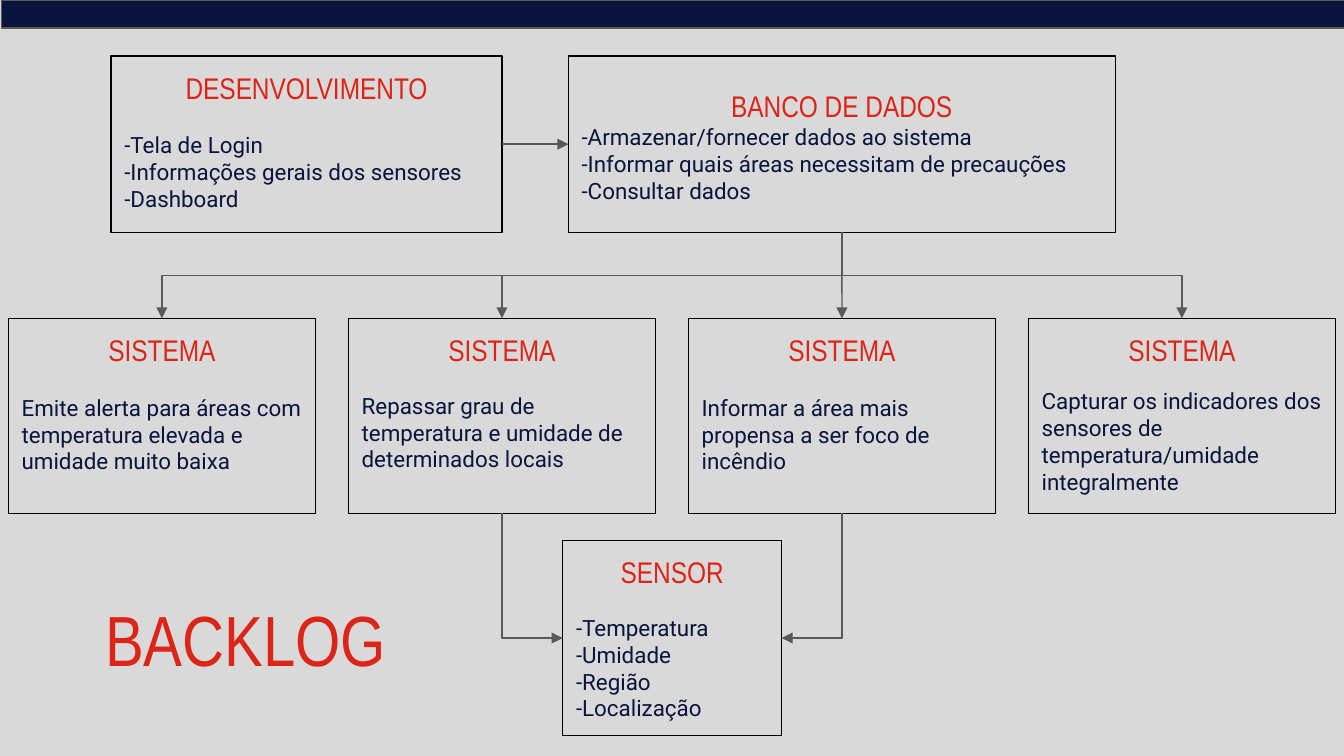
from lxml.etree import SubElement
from pptx import Presentation
from pptx.dml.color import RGBColor
from pptx.enum.shapes import MSO_CONNECTOR as CONN, MSO_SHAPE as SHAPE
from pptx.enum.text import MSO_ANCHOR as ANCHOR, MSO_AUTO_SIZE as AUTO, PP_ALIGN as ALIGN
from pptx.oxml.ns import qn
from pptx.util import Pt

NAVY, RED, GREY, PALE, BLACK = "0A153D", "DC2417", "595959", "D9D9D9", "000000"
HEADING = {"name": "Arial Narrow", "size": Pt(16), "bold": False}
BODY = {"name": "Roboto", "size": Pt(12), "bold": False}
BANNER = {"name": "Arial Narrow", "size": Pt(38), "bold": False}
FRAME = {
    "word_wrap": True, "auto_size": AUTO.NONE, "vertical_anchor": ANCHOR.TOP,
    "margin_left": Pt(7.2), "margin_right": Pt(7.2),
    "margin_top": Pt(7.2), "margin_bottom": Pt(7.2),
}
SYSTEM_LEFT, SYSTEM_STEP, SYSTEM_TOP = 4.5, 182.15, 170.6
SYSTEMS = [
    ("Emite alerta para áreas com temperatura elevada e umidade muito baixa", 14),
    ("Repassar grau de temperatura e umidade de determinados locais", 12.9),
    ("Informar a área mais propensa a ser foco de incêndio", 14),
    ("Capturar os indicadores dos sensores de temperatura/umidade integralmente", 10.5),
]


def rgb(value):
    return RGBColor.from_string(value)


def apply(target, values):
    for key, value in values.items():
        setattr(target, key, value)


def set_line(s, color):
    s.line.color.rgb = rgb(color)
    s.line.width = Pt(0.75)


def write(p, text, style, color, align):
    p.alignment = align
    r = p.add_run()
    r.text = text
    apply(r.font, style)
    r.font.color.rgb = rgb(color)


def add_rect(slide, left, top, width, height, line, fill=None):
    s = slide.shapes.add_shape(SHAPE.RECTANGLE, Pt(left), Pt(top), Pt(width), Pt(height))
    s.shadow.inherit = False
    if fill:
        s.fill.solid()
        s.fill.fore_color.rgb = rgb(fill)
    else:
        s.fill.background()
    set_line(s, line)
    return s


def add_card(slide, place, heading, lines, gap=0, spacing=1.0):
    s = add_rect(slide, *place, BLACK)
    tf = s.text_frame
    apply(tf, FRAME)
    p = tf.paragraphs[0]
    p.line_spacing = spacing
    write(p, heading, HEADING, RED, ALIGN.CENTER)
    for i, text in enumerate(lines):
        p = tf.add_paragraph()
        if i == 0:
            p.space_before = Pt(gap)
        write(p, text, BODY, NAVY, ALIGN.LEFT)
    return s


def finish_arrow(c):
    set_line(c, GREY)
    SubElement(c.line._get_or_add_ln(), qn("a:tailEnd"), type="triangle")
    SubElement(c._element.spPr, qn("a:effectLst"))


def add_arrow(slide, start, start_side, end, end_side):
    c = slide.shapes.add_connector(CONN.STRAIGHT, 0, 0, 0, 0)
    c.begin_connect(start, start_side)
    c.end_connect(end, end_side)
    finish_arrow(c)


def add_elbow(slide, start, end, preset="bentConnector3"):
    (x1, y1), (x2, y2) = start, end
    half_w, half_h = (y2 - y1) // 2, abs(x2 - x1) // 2
    mid_x, mid_y = (x1 + x2) // 2, (y1 + y2) // 2
    ends = [mid_x - half_w, mid_x + half_w]
    rightward = x2 > x1
    if rightward:
        ends.reverse()
    c = slide.shapes.add_connector(CONN.ELBOW, ends[0], mid_y - half_h, ends[1], mid_y + half_h)
    spPr = c._element.spPr
    spPr.find(qn("a:xfrm")).set("rot", "16200000" if rightward else "5400000")
    spPr.find(qn("a:prstGeom")).set("prst", preset)
    finish_arrow(c)


def top_mid(s):
    return s.left + s.width // 2, s.top


def bottom_mid(s):
    return s.left + s.width // 2, s.top + s.height


def add_title(slide, text):
    s = slide.shapes.title
    apply(s, {"left": Pt(13.7), "top": Pt(311.8), "width": Pt(236), "height": Pt(60.5)})
    apply(s.text_frame, FRAME)
    write(s.text_frame.paragraphs[0], text, BANNER, RED, ALIGN.CENTER)


def main():
    prs = Presentation()
    prs.slide_width, prs.slide_height = Pt(720), Pt(405)
    slide = prs.slides.add_slide(prs.slide_layouts[5])
    slide.background.fill.solid()
    slide.background.fill.fore_color.rgb = rgb(PALE)

    add_title(slide, "BACKLOG")
    add_rect(slide, 0.7, 0, 720, 15, GREY, NAVY)

    development = add_card(
        slide, (59.5, 30, 209.5, 94.5), "DESENVOLVIMENTO",
        ["-Tela de Login", "-Informações gerais dos sensores", "-Dashboard"], gap=14)
    database = add_card(
        slide, (304.5, 30, 293, 94.5), "BANCO DE DADOS",
        ["-Armazenar/fornecer dados ao sistema",
         "-Informar quais áreas necessitam de precauções",
         "-Consultar dados"], spacing=1.5)
    systems = [
        add_card(slide, (SYSTEM_LEFT + i * SYSTEM_STEP, SYSTEM_TOP, 164.5, 104.4),
                 "SISTEMA", [text], gap)
        for i, (text, gap) in enumerate(SYSTEMS)
    ]
    sensor = add_card(
        slide, (301.5, 289.6, 117.2, 104.5), "SENSOR",
        ["-Temperatura", "-Umidade", "-Região", "-Localização"], gap=12.9)

    add_arrow(slide, development, 3, database, 1)
    add_arrow(slide, database, 2, systems[2], 0)
    for i in (0, 1, 3):
        add_elbow(slide, bottom_mid(database), top_mid(systems[i]))
    sensor_mid = sensor.top + sensor.height // 2
    for s, x in ((systems[1], sensor.left), (systems[2], sensor.left + sensor.width)):
        add_elbow(slide, bottom_mid(s), (x, sensor_mid), "bentConnector2")

    prs.save("out.pptx")


if __name__ == "__main__":
    main()
